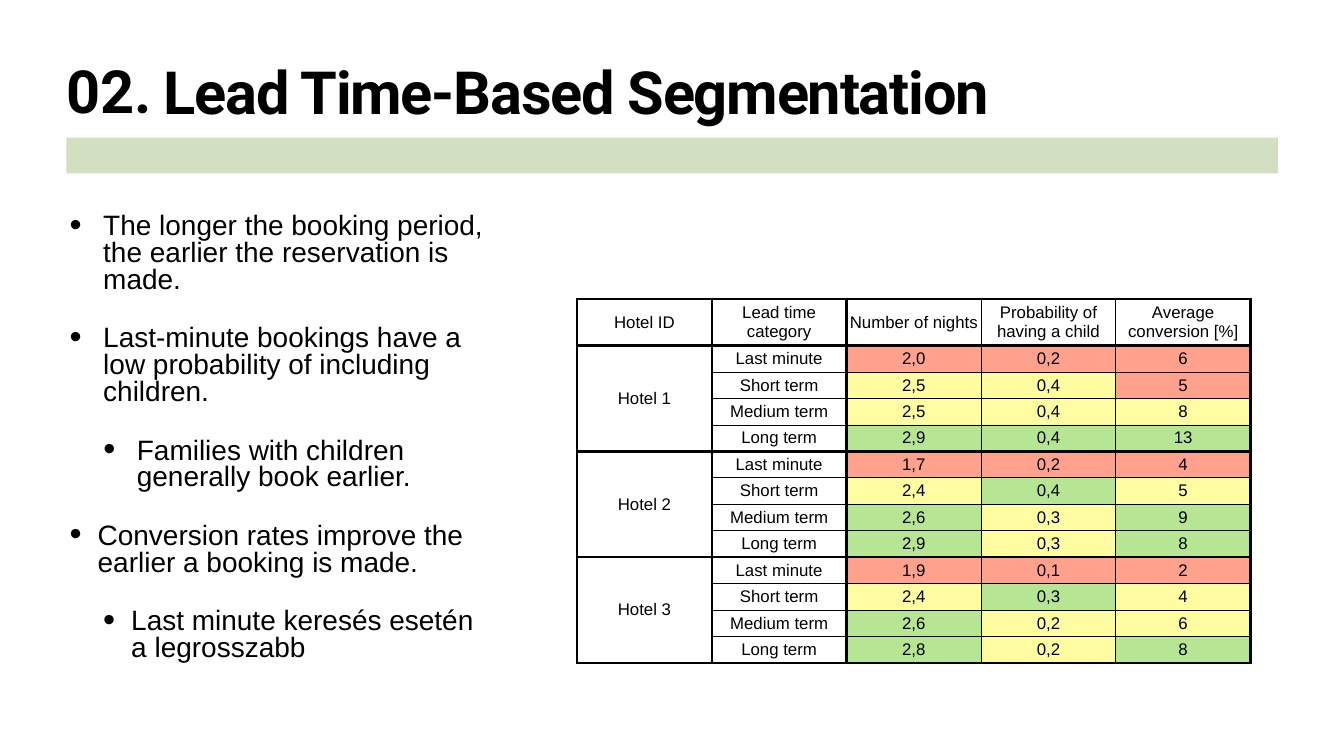
from pptx import Presentation
from pptx.dml.color import RGBColor
from pptx.enum.shapes import MSO_SHAPE
from pptx.enum.text import MSO_ANCHOR, PP_ALIGN
from pptx.oxml import parse_xml
from pptx.oxml.ns import nsdecls, qn
from pptx.util import Pt

RECTANGLE = MSO_SHAPE.RECTANGLE
MIDDLE = MSO_ANCHOR.MIDDLE
CENTER = PP_ALIGN.CENTER

BLACK = RGBColor(0x00, 0x00, 0x00)
SAGE = RGBColor(0xD2, 0xDF, 0xC1)
RATINGS = {
    "R": RGBColor(0xFF, 0x97, 0x81),
    "Y": RGBColor(0xFF, 0xFC, 0x98),
    "G": RGBColor(0xAF, 0xE4, 0x89),
}
INSET = Pt(4.5)
THICK, THIN = Pt(4), Pt(1)


def add_text_frame(left, top, width, height, inset):
    frame = slide.shapes.add_textbox(Pt(left), Pt(top), Pt(width), Pt(height)).text_frame
    frame.word_wrap = True
    frame.margin_left = frame.margin_right = inset
    frame.margin_top = frame.margin_bottom = inset
    return frame


def set_font(paragraph, name, size, bold=False):
    font = paragraph.font
    font.name, font.size, font.bold = name, Pt(size), bold
    font.color.rgb = BLACK


prs = Presentation()
prs.slide_width, prs.slide_height = Pt(1920), Pt(1080)
slide = prs.slides.add_slide(prs.slide_layouts[6])

# Bar under the title
bar = slide.shapes.add_shape(RECTANGLE, Pt(95), Pt(196.6), Pt(1731), Pt(51))
bar.shadow.inherit = False
bar.fill.solid()
bar.fill.fore_color.rgb = SAGE
bar.line.fill.background()

# Findings: text, level, hanging indent
findings = [
    ("The longer the booking period, the earlier the reservation is made.", 0, 48),
    ("Last-minute bookings have a low probability of including children.", 0, 48),
    ("Families with children generally book earlier.", 1, 48),
    ("Conversion rates improve the earlier a booking is made.", 0, 40),
    ("Last minute keresés esetén a legrosszabb", 1, 40),
]
findings_frame = add_text_frame(95, 301.7, 610, 683, INSET)
for i, (text, level, hanging) in enumerate(findings):
    finding = findings_frame.paragraphs[0] if i == 0 else findings_frame.add_paragraph()
    finding.text = text
    finding.level = level
    finding.line_spacing = 0.8
    finding.space_before = Pt(45)
    properties = finding._p.get_or_add_pPr()
    properties.set("marL", str(Pt(hanging + 48 * level)))
    properties.set("indent", str(-Pt(hanging)))
    for bullet in ('buSzPct {} val="123000"', 'buFont {} typeface="Arial"', 'buChar {} char="•"'):
        properties.append(parse_xml(f"<a:{bullet.format(nsdecls('a'))}/>"))
    set_font(finding, "Arial", 40)

# Title and section number
title = add_text_frame(229, 85, 1595.5, 113, INSET).paragraphs[0]
title_run = title.add_run()
title_run.text = "Lead Time-Based Segmentation"
title_run._r.get_or_add_rPr().set("spc", "-170")
title.line_spacing = Pt(91)
set_font(title, "Roboto", 85, bold=True)

number = add_text_frame(94.3, 101.5, 152.6, 81.4, 0).paragraphs[0]
number.text = "02."
number.line_spacing = Pt(77)
set_font(number, "Roboto", 85, bold=True)

# Lead time table: values and their ratings, by hotel and category
headers = ["Hotel ID", "Lead time category", "Number of nights",
           "Probability of having a child", "Average conversion [%]"]
categories = ["Last minute", "Short term", "Medium term", "Long term"]
hotels = {
    "Hotel 1": [("2,0", "0,2", "6", "RRR"), ("2,5", "0,4", "5", "YYR"),
                ("2,5", "0,4", "8", "YYY"), ("2,9", "0,4", "13", "GGG")],
    "Hotel 2": [("1,7", "0,2", "4", "RRR"), ("2,4", "0,4", "5", "YGY"),
                ("2,6", "0,3", "9", "GYG"), ("2,9", "0,3", "8", "GYG")],
    "Hotel 3": [("1,9", "0,1", "2", "RRR"), ("2,4", "0,3", "4", "YGY"),
                ("2,6", "0,2", "6", "GYY"), ("2,8", "0,2", "8", "GYG")],
}
rows = [(headers, "")]
for hotel, records in hotels.items():
    for category, (*values, ratings) in zip(categories, records):
        hotel_label = hotel if category == categories[0] else ""
        rows.append(([hotel_label, category, *values], ratings))

group = len(categories)
table = slide.shapes.add_table(len(rows), len(headers), Pt(824.4), Pt(427),
                               Pt(962), Pt(456.5)).table
table.first_row = table.horz_banding = False
for column in table.columns:
    column.width = Pt(192.4)
for r, row in enumerate(table.rows):
    row.height = Pt(33.2) if r else Pt(58.3)

for r, (texts, ratings) in enumerate(rows):
    for c, text in enumerate(texts):
        cell = table.cell(r, c)
        cell.vertical_anchor = MIDDLE
        cell.margin_left = cell.margin_right = INSET
        cell.margin_top = cell.margin_bottom = INSET
        entry = cell.text_frame.paragraphs[0]
        entry.text = text
        entry.alignment = CENTER
        set_font(entry, "Arial", 24)

        # Thick lines around the label columns and each hotel
        thick_sides = {
            "L": c <= 2,
            "R": c in (0, 1, 4),
            "T": c == 0 or r == 0 or r % group == 1,
            "B": c == 0 or r % group == 0,
        }
        cell_properties = cell._tc.get_or_add_tcPr()
        for side, thick in thick_sides.items():
            cell_properties.append(parse_xml(
                f'<a:ln{side} {nsdecls("a")} w="{THICK if thick else THIN}"><a:solidFill>'
                f'<a:srgbClr val="{BLACK}"/></a:solidFill></a:ln{side}>'))

        if ratings and c >= 2:
            cell.fill.solid()
            cell.fill.fore_color.rgb = RATINGS[ratings[c - 2]]
            color = cell_properties.find(qn("a:solidFill"))[0]
            color.append(parse_xml(f'<a:alpha {nsdecls("a")} val="90000"/>'))
        else:
            cell.fill.background()

for first in range(1, len(rows), group):
    table.cell(first, 0).merge(table.cell(first + group - 1, 0))

prs.save("out.pptx")
